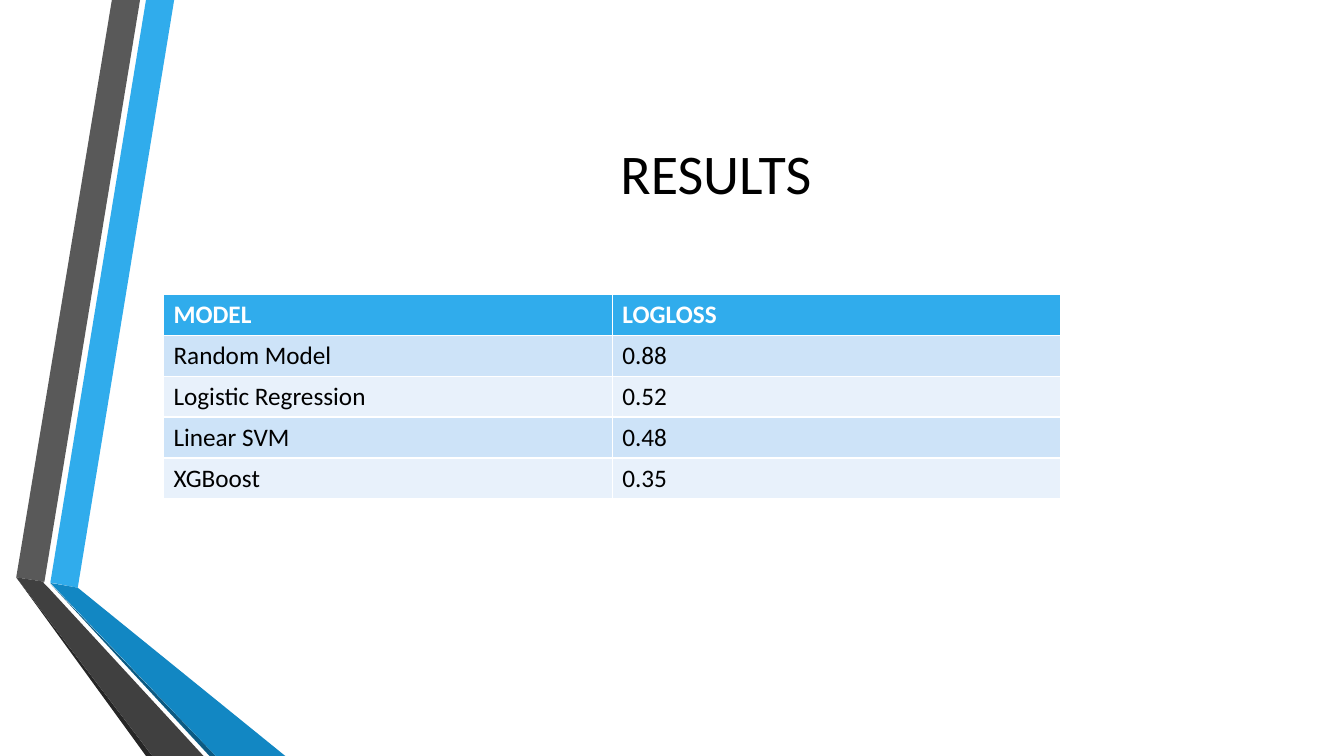
from pptx import Presentation
from pptx.dml.color import RGBColor
from pptx.enum import text
from pptx.util import Cm, Pt

BLACK = RGBColor(0x00, 0x00, 0x00)
WHITE = RGBColor(0xFF, 0xFF, 0xFF)
BLUE = RGBColor(0x30, 0xAC, 0xEC)
MID = RGBColor(0x12, 0x87, 0xC3)
NAVY = RGBColor(0x0C, 0x5A, 0x82)
GRAY = RGBColor(0x59, 0x59, 0x59)
DARK = RGBColor(0x40, 0x40, 0x40)
COAL = RGBColor(0x26, 0x26, 0x26)
BANDS = [RGBColor(0xE8, 0xF1, 0xFB), RGBColor(0xCD, 0xE3, 0xF8)]

FONT = "Calibri"
TITLE = "RESULTS"
SCORES = [
    ("MODEL", "LOGLOSS"),
    ("Random Model", "0.88"),
    ("Logistic Regression", "0.52"),
    ("Linear SVM", "0.48"),
    ("XGBoost", "0.35"),
]
RIBBONS = [
    (BLUE, [(1.27, 14.68), (1.96, 14.81), (4.39, 0), (3.68, 0)]),
    (GRAY, [(3.53, 0), (2.82, 0), (0.41, 14.55), (1.12, 14.66)]),
    (COAL, [(0.41, 14.55), (3.68, 19.05), (3.84, 19.05)]),
    (NAVY, [(1.27, 14.71), (5.28, 19.05), (5.44, 19.05)]),
    (MID, [(1.27, 14.69), (5.44, 19.05), (7.19, 19.05), (1.96, 14.81)]),
    (DARK, [(5.13, 19.05), (1.22, 14.81), (1.09, 14.68), (1.12, 14.66),
            (0.41, 14.55), (3.84, 19.05)]),
]
LEFT, TOP, WIDTH, ROW = 4.12, 7.42, 22.62, 1.03


def style(para, size, color, bold=False):
    font = para.font
    font.name, font.size, font.bold = FONT, Pt(size), bold
    font.color.rgb = color


def draw_ribbon(slide, color, points):
    start, *rest = [(Cm(x), Cm(y)) for x, y in points]
    pen = slide.shapes.build_freeform(*start)
    pen.add_line_segments(rest)
    ribbon = pen.convert_to_shape()
    ribbon.shadow.inherit = False
    ribbon.fill.solid()
    ribbon.fill.fore_color.rgb = color
    ribbon.line.fill.background()


def add_title(slide):
    title = slide.shapes.title
    title.left, title.top = Cm(LEFT), Cm(1.9)
    title.width, title.height = Cm(27.84), Cm(4.88)
    title.text_frame.text = TITLE
    title.text_frame.vertical_anchor = text.MSO_ANCHOR.MIDDLE
    para = title.text_frame.paragraphs[0]
    para.alignment = text.PP_ALIGN.CENTER
    style(para, 40, BLACK)


def add_scores(slide):
    count = len(SCORES)
    table = slide.shapes.add_table(count, len(SCORES[0]), Cm(LEFT), Cm(TOP),
                                   Cm(WIDTH), Cm(ROW * count)).table
    for r, row in enumerate(SCORES):
        head = r == 0
        for c, value in enumerate(row):
            cell = table.cell(r, c)
            cell.text = value
            cell.fill.solid()
            cell.fill.fore_color.rgb = BLUE if head else BANDS[r % 2]
            style(cell.text_frame.paragraphs[0], 18,
                  WHITE if head else BLACK, head)


def main():
    deck = Presentation()
    deck.slide_width, deck.slide_height = Cm(33.87), Cm(19.05)
    slide = deck.slides.add_slide(deck.slide_layouts[5])
    for color, points in RIBBONS:
        draw_ribbon(slide, color, points)
    add_title(slide)
    add_scores(slide)
    deck.save("out.pptx")


if __name__ == "__main__":
    main()
